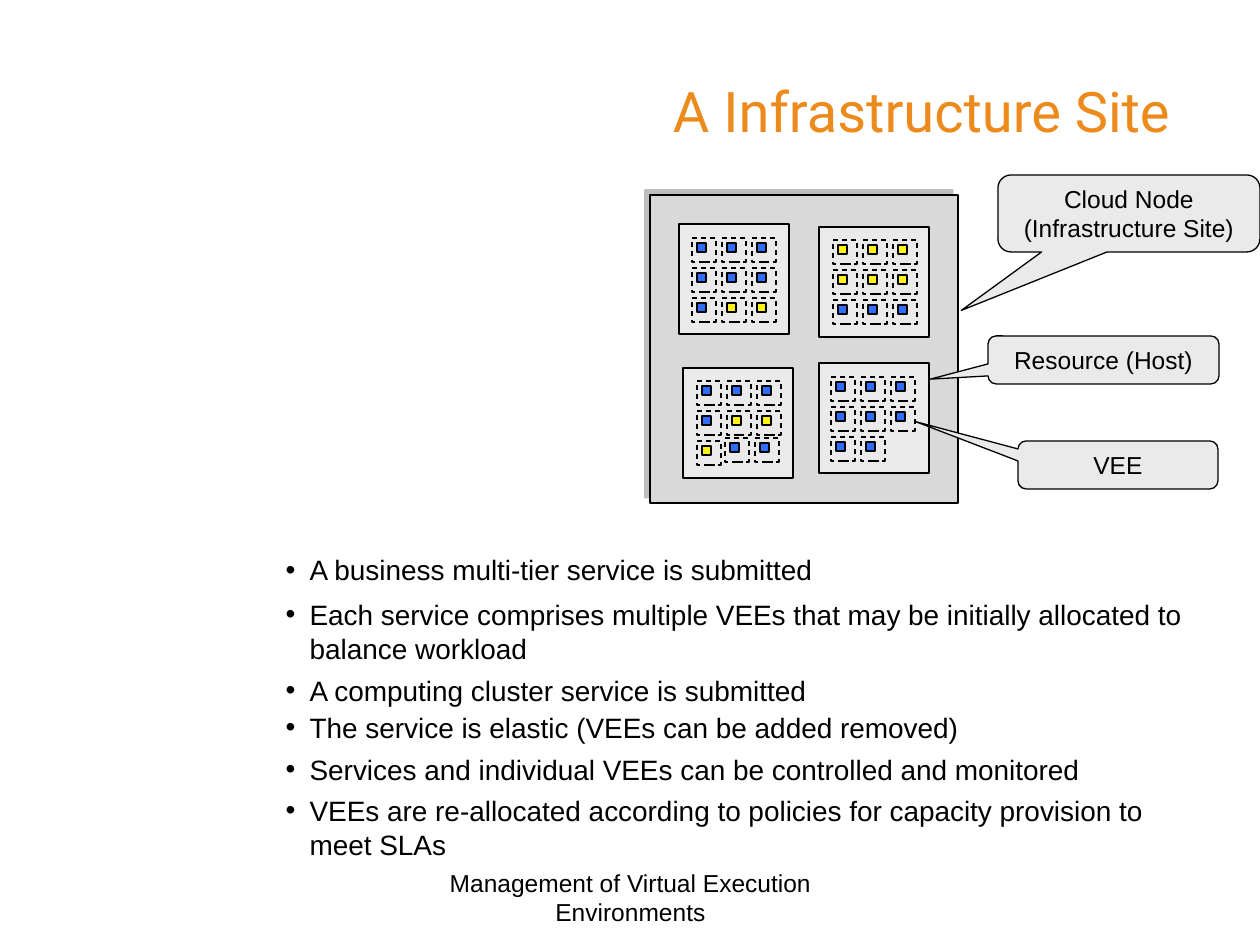
from dataclasses import dataclass
from typing import NamedTuple

from lxml import etree
from pptx import Presentation
from pptx import util as u
from pptx.dml.color import RGBColor
from pptx.enum import dml, shapes, text
from pptx.oxml import ns, parse_xml

PX = 914400 / 126
HOST_SIZE, CELL_SIZE, CELL_PITCH = 110, 24, 30
CHIP_SIZE, CHIP_INSET = 9, 5


@dataclass(frozen=True)
class Theme:
    accent: str = "EC8A1B"
    ink: str = "000000"
    site: str = "D9D9D9"
    panel: str = "EAEAEA"
    business: str = "2D6EFF"
    cluster: str = "FFF411"
    heading_font: str = "Roboto"
    body_font: str = "Arial"
    title_size: float = 32
    body_size: float = 16
    label_size: float = 14
    body_leading: float = 19.4
    footer_leading: float = 17
    line_width: float = 0.75


class Box(NamedTuple):
    left: int
    top: int
    width: int
    height: int


class CellGrid(NamedTuple):
    """Rows of cells; b is a business service, y a computing cluster."""
    left: int
    top: int
    rows: tuple[str, ...]


class Callout(NamedTuple):
    box: Box
    lines: tuple[str, ...]
    tail: tuple[float, float]


class Bullet(NamedTuple):
    wording: str
    gap: int


THEME = Theme()
SITE = Box(650, 195, 308, 308)
HOSTS = ((679, 224), (819, 363), (683, 368), (819, 227))
GRIDS = (
    CellGrid(692, 238, ("bbb", "bbb", "byy")),
    CellGrid(833, 240, ("yyy", "yyy", "bbb")),
    CellGrid(697, 381, ("bbb", "byy", "y")),
    CellGrid(725, 438, ("bb",)),
    CellGrid(831, 377, ("bbb", "bbb", "bb")),
)
CALLOUTS = (
    Callout(Box(998, 175, 262, 77), ("Cloud Node", "(Infrastructure Site)"), (-0.64, 1.26)),
    Callout(Box(988, 336, 231, 48), ("Resource (Host)",), (-0.75, 0.4)),
    Callout(Box(1018, 441, 200, 48), ("VEE",), (-1.01, -0.9)),
)
BULLETS = (
    Bullet("A business multi-tier service is submitted", 0),
    Bullet("Each service comprises multiple VEEs that may be initially allocated "
           "to balance workload", 11),
    Bullet("A computing cluster service is submitted", 8),
    Bullet("The service is elastic (VEEs can be added removed)", 3),
    Bullet("Services and individual VEEs can be controlled and monitored", 8),
    Bullet("VEEs are re-allocated according to policies for capacity provision "
           "to meet SLAs", 7),
)


def px(length: float) -> u.Emu:
    return u.Emu(round(length * PX))


def place(shape, box: Box) -> None:
    shape.left, shape.top, shape.width, shape.height = map(px, box)


def add_run(paragraph, wording: str, size: float, color: str = THEME.ink,
            font: str = THEME.body_font) -> None:
    run = paragraph.add_run()
    run.text = wording
    run.font.name = font
    run.font.size = u.Pt(size)
    run.font.color.rgb = RGBColor.from_string(color)


def set_up_frame(shape, anchor=text.MSO_ANCHOR.TOP):
    frame = shape.text_frame
    frame.word_wrap = True
    frame.auto_size = text.MSO_AUTO_SIZE.NONE
    frame.vertical_anchor = anchor
    return frame


def add_outlined(slide, box: Box, fill: str | None,
                 kind=shapes.MSO_SHAPE.RECTANGLE):
    """Add a shape with a thin outline, dashed and hollow if fill is None."""
    shape = slide.shapes.add_shape(kind, *map(px, box))
    shape.shadow.inherit = False
    shape.line.color.rgb = RGBColor.from_string(THEME.ink)
    shape.line.width = u.Pt(THEME.line_width)
    if fill is None:
        shape.fill.background()
        shape.line.dash_style = dml.MSO_LINE.DASH
    else:
        shape.fill.solid()
        shape.fill.fore_color.rgb = RGBColor.from_string(fill)
    return shape


def add_site(slide) -> None:
    site = add_outlined(slide, SITE, THEME.site)
    effects = site._element.spPr.find(ns.qn("a:effectLst"))
    effects.append(parse_xml(
        f'<a:outerShdw {ns.nsdecls("a")} dist="{u.Pt(4.2)}" dir="{225 * 60000}" '
        'algn="ctr" rotWithShape="0"><a:srgbClr val="808080">'
        '<a:alpha val="50000"/></a:srgbClr></a:outerShdw>'))


def add_grid(slide, grid: CellGrid) -> None:
    colors = {"b": THEME.business, "y": THEME.cluster}
    for row, services in enumerate(grid.rows):
        for column, service in enumerate(services):
            left = grid.left + column * CELL_PITCH
            top = grid.top + row * CELL_PITCH
            add_outlined(slide, Box(left, top, CELL_SIZE, CELL_SIZE), None)
            add_outlined(slide, Box(left + CHIP_INSET, top + CHIP_INSET,
                                    CHIP_SIZE, CHIP_SIZE), colors[service])


def add_callout(slide, callout: Callout) -> None:
    shape = add_outlined(slide, callout.box, THEME.panel,
                         shapes.MSO_SHAPE.ROUNDED_RECTANGULAR_CALLOUT)
    for index, value in enumerate((*callout.tail, 0.17)):
        shape.adjustments[index] = value
    frame = set_up_frame(shape, text.MSO_ANCHOR.MIDDLE)
    for index, line in enumerate(callout.lines):
        paragraph = frame.add_paragraph() if index else frame.paragraphs[0]
        paragraph.alignment = text.PP_ALIGN.CENTER
        add_run(paragraph, line, THEME.label_size)


def fill_title(title) -> None:
    place(title, Box(353, 32, 844, 157))
    paragraph = set_up_frame(title, text.MSO_ANCHOR.MIDDLE).paragraphs[0]
    paragraph.alignment = text.PP_ALIGN.RIGHT
    add_run(paragraph, "A Infrastructure Site ", THEME.title_size,
            THEME.accent, THEME.heading_font)


def fill_bullets(body) -> None:
    place(body, Box(273, 546, 935, 355))
    frame = set_up_frame(body)
    for index, bullet in enumerate(BULLETS):
        paragraph = frame.add_paragraph() if index else frame.paragraphs[0]
        properties = paragraph._p.get_or_add_pPr()
        properties.set("marL", str(px(24)))
        properties.set("indent", str(px(-24)))
        etree.SubElement(properties, ns.qn("a:buChar"), char="•")
        paragraph.line_spacing = u.Pt(THEME.body_leading)
        paragraph.space_before = px(bullet.gap)
        add_run(paragraph, bullet.wording, THEME.body_size)


def add_footer(slide) -> None:
    footer = slide.shapes.add_textbox(*map(px, Box(431, 861, 399, 66)))
    paragraph = set_up_frame(footer).paragraphs[0]
    paragraph.alignment = text.PP_ALIGN.CENTER
    paragraph.line_spacing = u.Pt(THEME.footer_leading)
    add_run(paragraph, "Management of Virtual Execution Environments", THEME.label_size)


def main() -> None:
    presentation = Presentation()
    presentation.slide_width, presentation.slide_height = px(1260), px(945)
    slide = presentation.slides.add_slide(presentation.slide_layouts[1])
    fill_title(slide.shapes.title)
    fill_bullets(slide.placeholders[1])
    add_site(slide)
    for left, top in HOSTS:
        add_outlined(slide, Box(left, top, HOST_SIZE, HOST_SIZE), THEME.panel)
    for grid in GRIDS:
        add_grid(slide, grid)
    for callout in CALLOUTS:
        add_callout(slide, callout)
    add_footer(slide)
    presentation.save("out.pptx")


if __name__ == "__main__":
    main()
